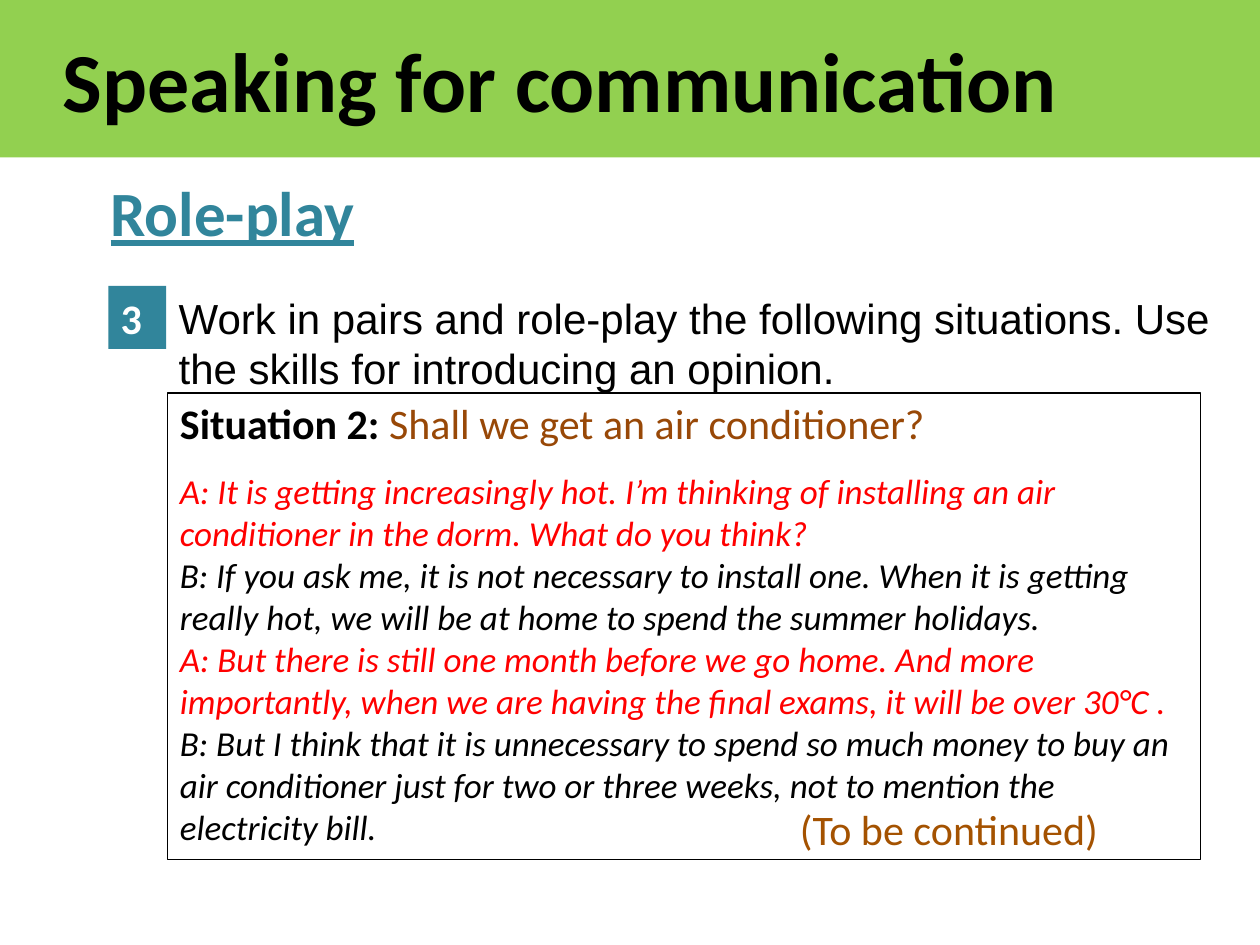
"""Build the role-play slide of a speaking lesson."""
from dataclasses import dataclass

import pptx
import pptx.dml.color
import pptx.enum.shapes
import pptx.enum.text
import pptx.util

Inches = pptx.util.Inches
Pt = pptx.util.Pt
Anchor = pptx.enum.text.MSO_ANCHOR

COLORS = {
    "green": "92D050",
    "teal": "31859B",
    "black": "000000",
    "white": "FFFFFF",
    "brown": "984807",
    "amber": "A45200",
    "red": "FF0000",
}


@dataclass(frozen=True)
class Place:
    left: float
    top: float
    width: float
    height: float

    def lengths(self) -> list[pptx.util.Length]:
        return [Inches(v) for v in (self.left, self.top, self.width, self.height)]


@dataclass(frozen=True)
class Turn:
    speaker: str
    speech: str
    color: str


TURNS = [
    Turn("A", "It is getting increasingly hot. I’m thinking of installing an air "
         "conditioner in the dorm. What do you think?", "red"),
    Turn("B", "If you ask me, it is not necessary to install one. When it is getting "
         "really hot, we will be at home to spend the summer holidays.", "black"),
    Turn("A", "But there is still one month before we go home. And more importantly, "
         "when we are having the final exams, it will be over 30°C .", "red"),
    Turn("B", "But I think that it is unnecessary to spend so much money to buy an air "
         "conditioner just for two or three weeks, not to mention the electricity bill.",
         "black"),
]


def rgb(color: str) -> pptx.dml.color.RGBColor:
    return pptx.dml.color.RGBColor.from_string(COLORS[color])


def add_run(paragraph, text: str, *, size: float = 24, color: str = "black",
            font: str = "Calibri", bold: bool = False, italic: bool = False,
            underline: bool = False) -> None:
    run = paragraph.add_run()
    run.text = text
    run.font.name = font
    run.font.size = Pt(size)
    run.font.bold = bold
    run.font.italic = italic
    run.font.underline = underline
    run.font.color.rgb = rgb(color)


def set_frame(shape, *, wrap: bool = True, anchor: Anchor = Anchor.TOP):
    frame = shape.text_frame
    frame.word_wrap = wrap
    frame.vertical_anchor = anchor
    frame.paragraphs[0].alignment = pptx.enum.text.PP_ALIGN.LEFT
    return frame


def add_panel(shapes, place: Place, *, fill: str | None = None,
              line: str | None = None, anchor: Anchor = Anchor.TOP):
    panel = shapes.add_shape(pptx.enum.shapes.MSO_SHAPE.RECTANGLE, *place.lengths())
    panel.shadow.inherit = False
    if fill:
        panel.fill.solid()
        panel.fill.fore_color.rgb = rgb(fill)
    else:
        panel.fill.background()
    if line:
        panel.line.color.rgb = rgb(line)
        panel.line.width = Pt(0.75)
    else:
        panel.line.fill.background()
    return set_frame(panel, anchor=anchor)


def add_label(shapes, place: Place, text: str, *, wrap: bool = True, **style) -> None:
    frame = set_frame(shapes.add_textbox(*place.lengths()), wrap=wrap)
    add_run(frame.paragraphs[0], text, **style)


def add_situation(shapes, place: Place) -> None:
    situation = add_panel(shapes, place, line="black")
    topic = situation.paragraphs[0]
    topic.line_spacing = Pt(28)
    add_run(topic, "Situation 2: ", bold=True)
    add_run(topic, "Shall we get an air conditioner?", color="brown")
    for index, turn in enumerate(TURNS):
        line = situation.add_paragraph()
        line.alignment = topic.alignment
        line.space_before = Pt(0 if index else 12)
        add_run(line, f"{turn.speaker}: {turn.speech}", size=20,
                color=turn.color, italic=True)


def main() -> None:
    presentation = pptx.Presentation()
    presentation.slide_width = Inches(10)
    presentation.slide_height = Inches(7.5)
    shapes = presentation.slides.add_slide(presentation.slide_layouts[6]).shapes

    banner = add_panel(shapes, Place(0, 0, 10, 1.25), fill="green", anchor=Anchor.MIDDLE)
    banner.margin_left = Inches(0.5)
    add_run(banner.paragraphs[0], "Speaking for communication", size=48, bold=True)

    add_label(shapes, Place(0.78, 1.33, 2.16, 0.71), "Role-play", wrap=False,
              size=36, color="teal", bold=True, underline=True)

    task = shapes.add_group_shape().shapes
    number = add_panel(task, Place(0.86, 2.27, 0.46, 0.5), fill="teal")
    add_run(number.paragraphs[0], "3", color="white", bold=True)
    add_label(task, Place(1.32, 2.27, 8.68, 0.91),
              "Work in pairs and role-play the following situations. "
              "Use the skills for introducing an opinion.", font="Arial")

    add_label(shapes, Place(6.25, 6.33, 2.58, 0.51), "(To be continued)", color="amber")
    add_situation(shapes, Place(1.33, 3.12, 8.2, 3.7))

    presentation.save("out.pptx")


if __name__ == "__main__":
    main()
